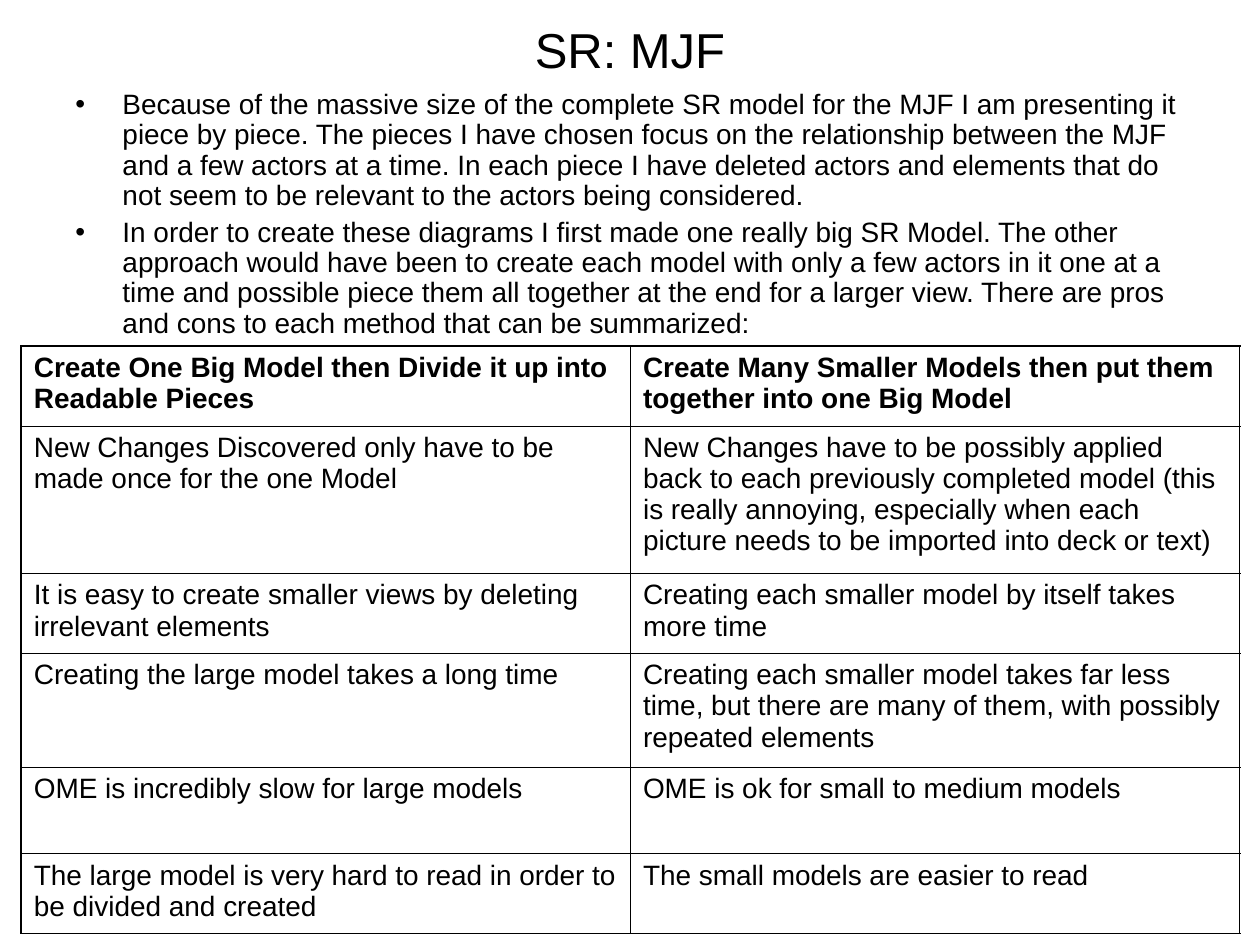
from dataclasses import dataclass

from lxml import etree
from pptx import Presentation
from pptx.dml.color import RGBColor
from pptx.enum.text import MSO_ANCHOR, PP_ALIGN
from pptx.oxml.ns import qn
from pptx.util import Cm, Pt

CENTER = PP_ALIGN.CENTER
MIDDLE = MSO_ANCHOR.MIDDLE
BLANK_LAYOUT = 6


@dataclass(frozen=True)
class Theme:
    font: str = "Arial"
    ink: str = "000000"
    title_size: float = 28
    body_size: float = 16
    outer_line: float = 1.08
    inner_line: float = 0.45


THEME = Theme()

TITLE = "SR: MJF"
BULLETS = [
    "Because of the massive size of the complete SR model for the MJF I am "
    "presenting it piece by piece. The pieces I have chosen focus on the "
    "relationship between the MJF and a few actors at a time. In each piece I "
    "have deleted actors and elements that do not seem to be relevant to the "
    "actors being considered.",
    "In order to create these diagrams I first made one really big SR Model. "
    "The other approach would have been to create each model with only a few "
    "actors in it one at a time and possible piece them all together at the "
    "end for a larger view. There are pros and cons to each method that can "
    "be summarized:",
]
COMPARISON = [
    ("Create One Big Model then Divide it up into Readable Pieces",
     "Create Many Smaller Models then put them together into one Big Model"),
    ("New Changes Discovered only have to be made once for the one Model",
     "New Changes have to be possibly applied back to each previously "
     "completed model (this is really annoying, especially when each picture "
     "needs to be imported into deck or text)"),
    ("It is easy to create smaller views by deleting irrelevant elements",
     "Creating each smaller model by itself takes more time"),
    ("Creating the large model takes a long time",
     "Creating each smaller model takes far less time, but there are many of "
     "them, with possibly repeated elements"),
    ("OME is incredibly slow for large models",
     "OME is ok for small to medium models"),
    ("The large model is very hard to read in order to be divided and created",
     "The small models are easier to read"),
]
ROW_HEIGHTS = [1.61, 2.97, 1.61, 2.29, 1.75, 1.61]
COLUMN_WIDTH = 12.28


def style_runs(p, size, bold=False):
    for r in p.runs:
        r.font.name = THEME.font
        r.font.size = Pt(size)
        r.font.bold = bold
        r.font.color.rgb = RGBColor.from_string(THEME.ink)


def add_box(s, left, top, width, height):
    tf = s.shapes.add_textbox(Cm(left), Cm(top), Cm(width), Cm(height)).text_frame
    tf.word_wrap = True
    return tf


def add_title(s):
    tf = add_box(s, 1.27, 0, 22.86, 1.98)
    tf.vertical_anchor = MIDDLE
    tf.text = TITLE
    p = tf.paragraphs[0]
    p.alignment = CENTER
    style_runs(p, THEME.title_size)


def set_bullet(p):
    pPr = p._p.get_or_add_pPr()
    indent = Cm(0.95)
    pPr.set("marL", str(indent))
    pPr.set("indent", str(-indent))
    color = etree.SubElement(pPr, qn("a:buClr"))
    etree.SubElement(color, qn("a:srgbClr"), val=THEME.ink)
    etree.SubElement(pPr, qn("a:buFont"), typeface=THEME.font)
    etree.SubElement(pPr, qn("a:buChar"), char="•")


def add_bullets(s):
    tf = add_box(s, 1.27, 1.7, 23.29, 5.72)
    tf.text = "\n".join(BULLETS)
    for i, p in enumerate(tf.paragraphs):
        set_bullet(p)
        p.line_spacing = 0.9
        p.space_before = Pt(4 if i else 0)
        style_runs(p, THEME.body_size)


def set_borders(cell, outer_sides):
    tcPr = cell._tc.get_or_add_tcPr()
    for i, side in enumerate(("lnL", "lnR", "lnT", "lnB")):
        width = THEME.outer_line if side in outer_sides else THEME.inner_line
        ln = etree.Element(qn(f"a:{side}"), w=str(Pt(width)))
        fill = etree.SubElement(ln, qn("a:solidFill"))
        etree.SubElement(fill, qn("a:srgbClr"), val=THEME.ink)
        tcPr.insert(i, ln)


def add_comparison(s):
    rows, cols = len(COMPARISON), len(COMPARISON[0])
    table = s.shapes.add_table(rows, cols, Cm(0.43), Cm(6.98),
                               Cm(cols * COLUMN_WIDTH),
                               Cm(sum(ROW_HEIGHTS))).table
    table.first_row = table.horz_banding = False
    for column in table.columns:
        column.width = Cm(COLUMN_WIDTH)
    for i, (height, texts) in enumerate(zip(ROW_HEIGHTS, COMPARISON)):
        table.rows[i].height = Cm(height)
        for j, text in enumerate(texts):
            cell = table.cell(i, j)
            cell.text = text
            cell.fill.background()
            style_runs(cell.text_frame.paragraphs[0], THEME.body_size, bold=i == 0)
            edges = {"lnL": j == 0, "lnR": j == cols - 1,
                     "lnT": i == 0, "lnB": i == rows - 1}
            set_borders(cell, [side for side, outer in edges.items() if outer])


def main():
    prs = Presentation()
    prs.slide_width, prs.slide_height = Cm(25.4), Cm(19.05)
    s = prs.slides.add_slide(prs.slide_layouts[BLANK_LAYOUT])
    add_title(s)
    add_bullets(s)
    add_comparison(s)
    prs.save("out.pptx")


if __name__ == "__main__":
    main()
